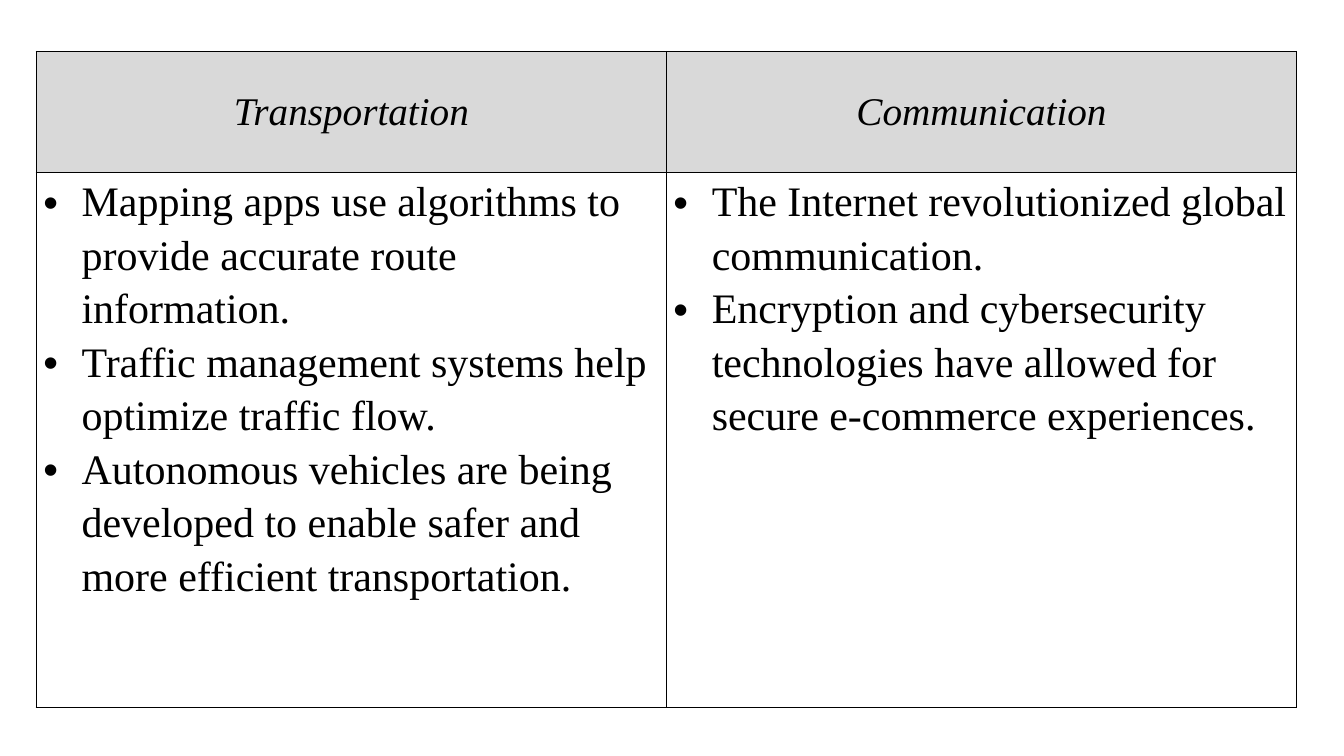
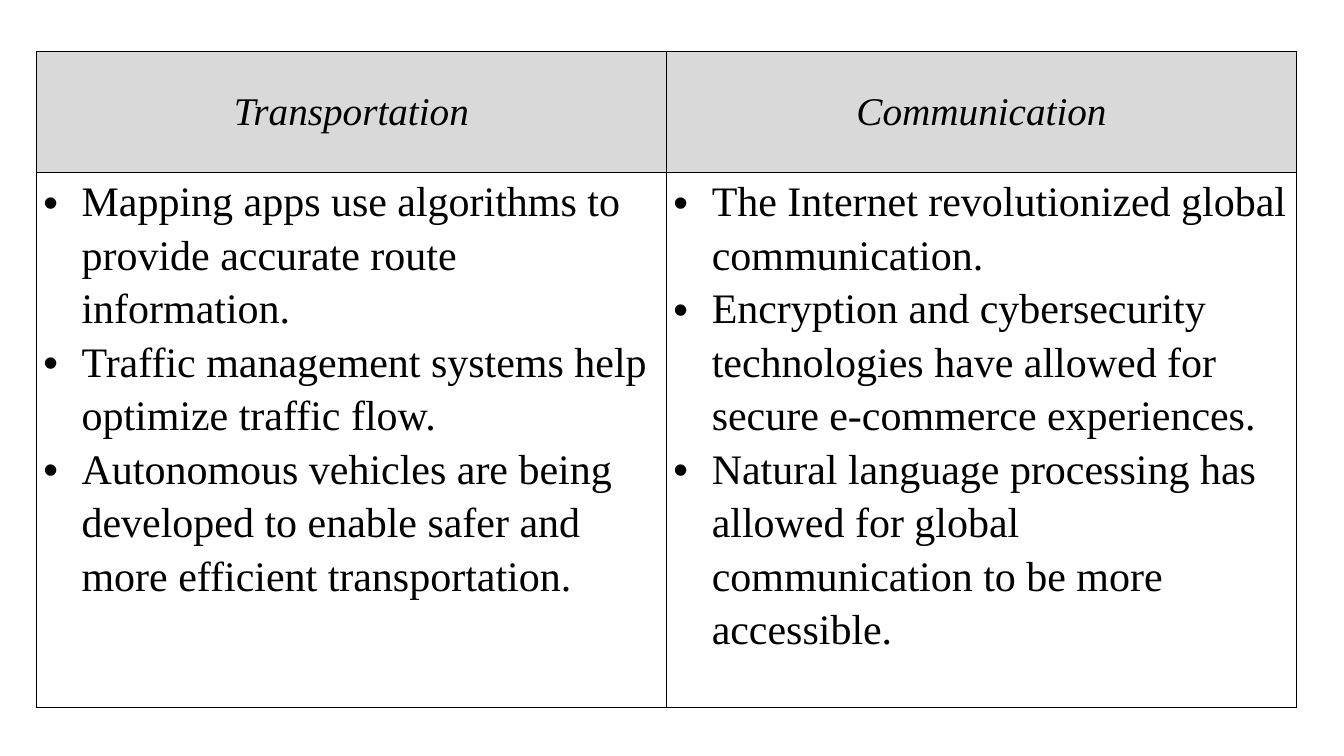
import pptx
import pptx.dml.color
import pptx.enum.text
import pptx.oxml.ns
import pptx.util
from lxml import etree

COLOURS = {"ink": "000000", "header": "D9D9D9"}
FONT = "Times New Roman"
SLIDE_SIZE = (13.33, 7.5)
TABLE_BOX = (0.36, 0.51, 12.5, 6.51)
HEADER_HEIGHT = 1.2
CELL_INSET = 0.07
BULLET_INDENT = 0.38

TRANSPORTATION = [
    "Mapping apps use algorithms to provide accurate route information.",
    "Traffic management systems help optimize traffic flow.",
    "Autonomous vehicles are being developed to enable safer and more efficient transportation.",
]
COMMUNICATION = [
    "The Internet revolutionized global communication.",
    "Encryption and cybersecurity technologies have allowed for secure e-commerce experiences.",
    "Natural language processing has allowed for global communication to be more accessible.",
]


def inches(value):
    return pptx.util.Inches(value)


def rgb(name):
    return pptx.dml.color.RGBColor.from_string(COLOURS[name])


def add_child(parent, tag, **attributes):
    child = etree.SubElement(parent, pptx.oxml.ns.qn(tag))
    for name, value in attributes.items():
        child.set(name, str(value))
    return child


def write(para, text, size, italic=False, align=None, bullet=False, spacing=None):
    if bullet:
        properties = para._p.get_or_add_pPr()
        properties.set("marL", str(inches(BULLET_INDENT)))
        properties.set("indent", str(-inches(BULLET_INDENT)))
        add_child(properties, "a:buFont", typeface="Arial")
        add_child(properties, "a:buChar", char="•")
    if align is not None:
        para.alignment = align
    if spacing:
        para.line_spacing = spacing
    span = para.add_run()
    span.text = text
    span.font.name = FONT
    span.font.size = pptx.util.Pt(size)
    span.font.italic = italic
    span.font.bold = False
    span.font.color.rgb = rgb("ink")


def format_cell(cell, anchor, fill=None):
    """Set a cell's margins, thin borders and fill."""
    cell.margin_left = cell.margin_right = inches(CELL_INSET)
    cell.margin_top = cell.margin_bottom = 0
    cell.vertical_anchor = anchor
    properties = cell._tc.get_or_add_tcPr()
    for side in ("a:lnL", "a:lnR", "a:lnT", "a:lnB"):
        line = add_child(properties, side, w=pptx.util.Pt(1))
        solid = add_child(line, "a:solidFill")
        add_child(solid, "a:srgbClr", val=COLOURS["ink"])
    if fill:
        cell.fill.solid()
        cell.fill.fore_color.rgb = rgb(fill)
    else:
        cell.fill.background()


def fill_header(cell, heading):
    format_cell(cell, pptx.enum.text.MSO_ANCHOR.MIDDLE, fill="header")
    write(cell.text_frame.paragraphs[0], heading, size=28, italic=True,
          align=pptx.enum.text.PP_ALIGN.CENTER)


def fill_list(cell, items):
    format_cell(cell, pptx.enum.text.MSO_ANCHOR.TOP)
    frame = cell.text_frame
    for index, item in enumerate(items):
        para = frame.add_paragraph() if index else frame.paragraphs[0]
        write(para, item, size=30, bullet=True, spacing=1.15)


def add_topic_table(page, box, topics):
    """Place one equal column per topic, with a heading above its list."""
    left, top, width, height = box
    table = page.shapes.add_table(2, len(topics), *map(inches, box)).table
    table.first_row = table.horz_banding = False
    table.rows[0].height = inches(HEADER_HEIGHT)
    table.rows[1].height = inches(height - HEADER_HEIGHT)
    for index, (heading, items) in enumerate(topics.items()):
        table.columns[index].width = inches(width / len(topics))
        fill_header(table.cell(0, index), heading)
        fill_list(table.cell(1, index), items)


def main():
    deck = pptx.Presentation()
    deck.slide_width, deck.slide_height = map(inches, SLIDE_SIZE)
    blank = deck.slide_layouts[6]
    for shown in (2, 3):
        page = deck.slides.add_slide(blank)
        topics = {"Transportation": TRANSPORTATION,
                  "Communication": COMMUNICATION[:shown]}
        add_topic_table(page, TABLE_BOX, topics)
    deck.save("out.pptx")


if __name__ == "__main__":
    main()
